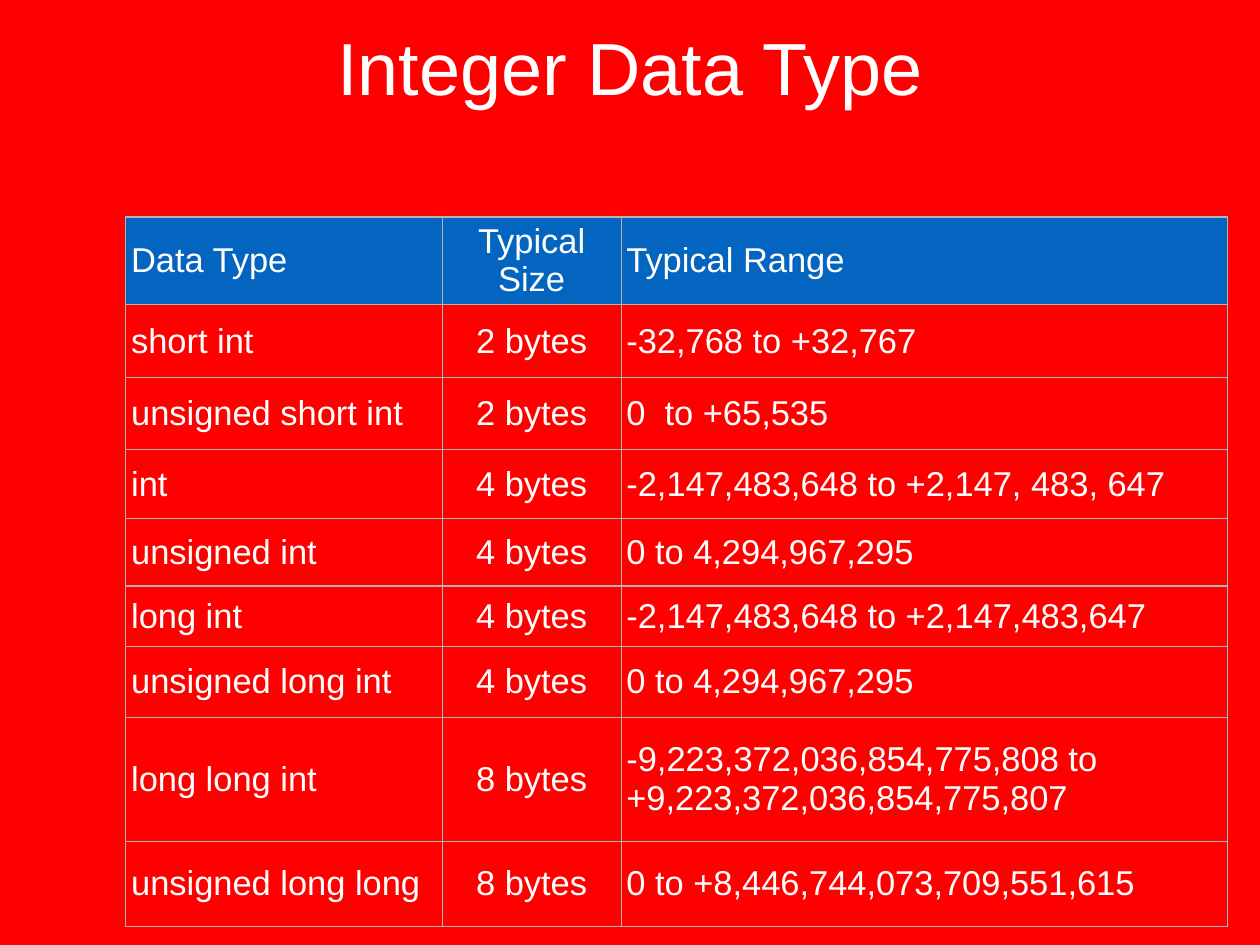
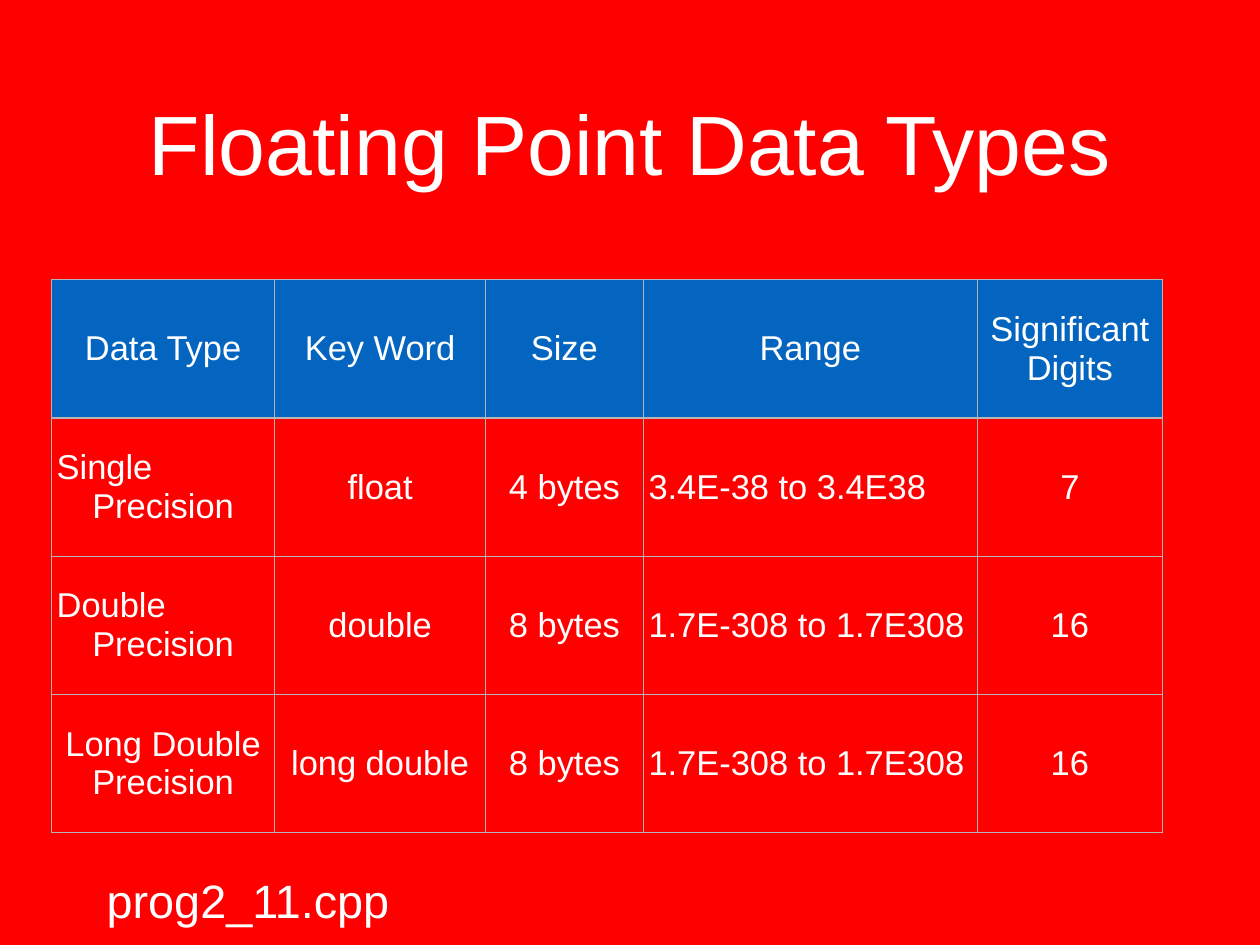
"""Build two slides of tables on integer and floating point data types."""
from lxml import etree
from pptx import Presentation
from pptx.dml.color import RGBColor
from pptx.enum import text
from pptx.oxml import ns
from pptx.util import Inches, Pt

RED = RGBColor(0xFF, 0x00, 0x00)
BLUE = RGBColor(0x03, 0x65, 0xC0)
WHITE = RGBColor(0xFF, 0xFF, 0xFF)
GREY = RGBColor(0xB4, 0xB4, 0xB4)
FONT = "Arial"
INSET = Inches(0.06)
LEFT, CENTER = text.PP_ALIGN.LEFT, text.PP_ALIGN.CENTER

SLIDES = [
    {
        "title": "Integer Data Type", "title_size": 60,
        "title_top": 0.04, "title_height": 1.42,
        "left": 1.42, "top": 2.45,
        "widths": [3.57, 2.02, 6.84],
        "heights": [0.97, 0.83, 0.81, 0.78, 0.76, 0.68, 0.8, 1.4, 0.96],
        "header_align": [LEFT, CENTER, LEFT],
        "body_align": [LEFT, CENTER, LEFT],
        "rows": [
            ["Data Type", "Typical Size", "Typical Range"],
            ["short int", "2 bytes", "-32,768 to +32,767"],
            ["unsigned short int", "2 bytes", "0  to +65,535"],
            ["int", "4 bytes", "-2,147,483,648 to +2,147, 483, 647"],
            ["unsigned int", "4 bytes", "0 to 4,294,967,295"],
            ["long int", "4 bytes", "-2,147,483,648 to +2,147,483,647"],
            ["unsigned long int", "4 bytes", "0 to 4,294,967,295"],
            ["long long int", "8 bytes",
             "-9,223,372,036,854,775,808 to \n+9,223,372,036,854,775,807"],
            ["unsigned long long", "8 bytes", "0 to +8,446,744,073,709,551,615"],
        ],
    },
    {
        "title": "Floating Point Data Types", "title_size": 68.4,
        "title_top": 0.44, "title_height": 2.32,
        "left": 0.58, "top": 3.16,
        "widths": [2.52, 2.38, 1.78, 3.77, 2.09],
        "heights": [1.56] * 4,
        "header_align": [CENTER] * 5,
        "body_align": [CENTER, CENTER, CENTER, LEFT, CENTER],
        "rows": [
            ["Data Type", "Key Word", "Size", "Range", "Significant Digits"],
            ["Single\nPrecision", "float", "4 bytes", "3.4E-38 to 3.4E38", "7"],
            ["Double\nPrecision", "double", "8 bytes", "1.7E-308 to 1.7E308", "16"],
            ["Long Double Precision", "long double", "8 bytes",
             "1.7E-308 to 1.7E308", "16"],
        ],
    },
]


def write(tf, words, size, align):
    tf.text = words
    tf.word_wrap = True
    for p in tf.paragraphs:
        p.alignment = align
        for r in p.runs:
            r.font.name = FONT
            r.font.size = Pt(size)
            r.font.color.rgb = WHITE


def set_insets(box):
    box.margin_left = box.margin_right = INSET
    box.margin_top = box.margin_bottom = INSET
    box.vertical_anchor = text.MSO_ANCHOR.MIDDLE


prs = Presentation()
prs.slide_width, prs.slide_height = Inches(14.22), Inches(10.67)
fill = prs.slide_master.background.fill
fill.solid()
fill.fore_color.rgb = RED

for page in SLIDES:
    s = prs.slides.add_slide(prs.slide_layouts[5])
    title = s.shapes.title
    title.left, title.top = Inches(1.04), Inches(page["title_top"])
    title.width, title.height = Inches(12.14), Inches(page["title_height"])
    write(title.text_frame, page["title"], page["title_size"], CENTER)
    title.text_frame.auto_size = text.MSO_AUTO_SIZE.NONE
    set_insets(title.text_frame)

    widths, heights, rows = page["widths"], page["heights"], page["rows"]
    table = s.shapes.add_table(
        len(rows), len(widths), Inches(page["left"]), Inches(page["top"]),
        Inches(sum(widths)), Inches(sum(heights))).table
    table.first_row = table.horz_banding = False
    for column, width in zip(table.columns, widths):
        column.width = Inches(width)
    for row, height in zip(table.rows, heights):
        row.height = Inches(height)

    for i, row in enumerate(rows):
        aligns = page["body_align"] if i else page["header_align"]
        for j, words in enumerate(row):
            cell = table.cell(i, j)
            write(cell.text_frame, words, 28, aligns[j])
            if "\n" in words:
                cell.text_frame.paragraphs[0].alignment = LEFT
            set_insets(cell)
            tcPr = cell._tc.get_or_add_tcPr()
            for side in ("a:lnL", "a:lnR", "a:lnT", "a:lnB"):
                ln = etree.SubElement(tcPr, ns.qn(side), w=str(Pt(1)))
                solid = etree.SubElement(ln, ns.qn("a:solidFill"))
                etree.SubElement(solid, ns.qn("a:srgbClr"), val=str(GREY))
            if i == 0:
                cell.fill.solid()
                cell.fill.fore_color.rgb = BLUE
            else:
                cell.fill.background()

tf = s.shapes.add_textbox(
    Inches(1.07), Inches(9.79), Inches(3.46), Inches(0.75)).text_frame
write(tf, "prog2_11.cpp", 38, CENTER)
set_insets(tf)
tf.word_wrap = False
tf.auto_size = text.MSO_AUTO_SIZE.SHAPE_TO_FIT_TEXT

prs.save("out.pptx")
